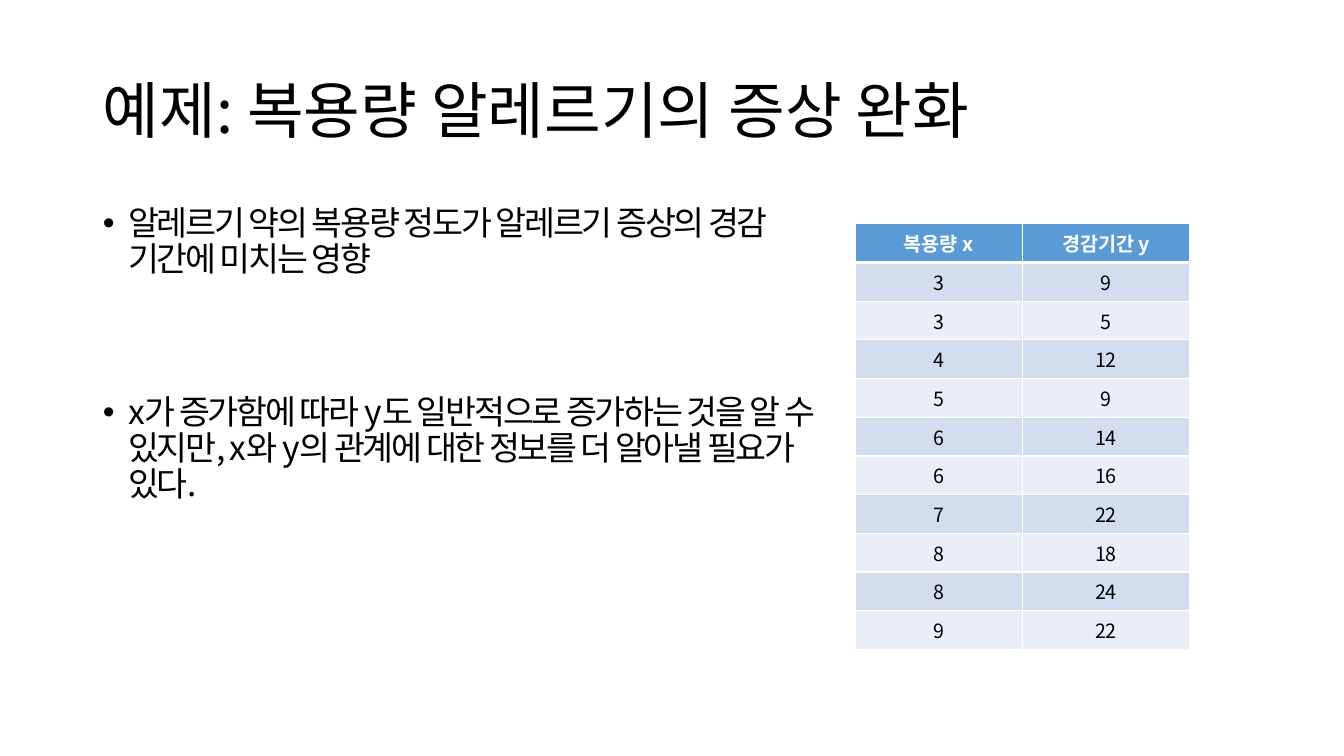
from lxml import etree
from pptx import Presentation
from pptx.dml.color import RGBColor
from pptx.enum.text import MSO_ANCHOR, MSO_AUTO_SIZE, PP_ALIGN
from pptx.oxml.ns import qn
from pptx.util import Inches, Pt

LEFT, CENTER = PP_ALIGN.LEFT, PP_ALIGN.CENTER
MIDDLE = MSO_ANCHOR.MIDDLE
NO_AUTOFIT = MSO_AUTO_SIZE.NONE
FONT = "Noto Sans CJK KR"
BLACK, WHITE = "000000", "FFFFFF"
HEADER_FILL, BAND_FILLS = "5B9BD5", ("D2DEEF", "EAEFF7")

TITLE = "예제: 복용량 알레르기의 증상 완화"
POINTS = [
    ("알레르기 약의 복용량 정도가 알레르기 증상의 경감 기간에 미치는 영향", 10),
    ("x가 증가함에 따라 y도 일반적으로 증가하는 것을 알 수 있지만, "
     "x와 y의 관계에 대한 정보를 더 알아낼 필요가 있다.", 83),
]
DOSES = [
    ("복용량 x", "경감기간 y"),
    (3, 9), (3, 5), (4, 12), (5, 9), (6, 14),
    (6, 16), (7, 22), (8, 18), (8, 24), (9, 22),
]


def color(value):
    return RGBColor.from_string(value)


def style_para(para, size, ink, align, bold=False):
    para.alignment = align
    para.font.name = FONT
    para.font.size = Pt(size)
    para.font.bold = bold
    para.font.color.rgb = color(ink)
    for span in para.runs:
        etree.SubElement(span._r.get_or_add_rPr(), qn("a:ea"), typeface=FONT)


def move(shape, box):
    shape.left, shape.top, shape.width, shape.height = (Inches(side) for side in box)


def fill_title(title, box):
    move(title, box)
    frame = title.text_frame
    frame.text = TITLE
    frame.auto_size = NO_AUTOFIT
    frame.vertical_anchor = MIDDLE
    para = frame.paragraphs[0]
    para.line_spacing = 0.9
    style_para(para, 44, BLACK, LEFT)


def fill_points(body, box):
    move(body, box)
    frame = body.text_frame
    frame.text = "\n".join(text for text, _ in POINTS)
    frame.auto_size = NO_AUTOFIT
    for para, (_, gap) in zip(frame.paragraphs, POINTS):
        para.line_spacing = 0.9
        para.space_before = Pt(gap)
        style_para(para, 24, BLACK, LEFT)
        properties = para._p.get_or_add_pPr()
        properties.set("marL", str(Inches(0.25)))
        properties.set("indent", str(Inches(-0.25)))
        for span in para.runs:
            span._r.get_or_add_rPr().set("spc", "-150")


def underline_cell(cell, width, ink):
    """Draw the cell's bottom border, which must precede its fill in the XML."""
    line = etree.Element(qn("a:lnB"), w=str(Pt(width)))
    fill = etree.SubElement(line, qn("a:solidFill"))
    etree.SubElement(fill, qn("a:srgbClr"), val=ink)
    cell._tc.get_or_add_tcPr().insert(0, line)


def add_dose_table(page, box):
    sides = [Inches(side) for side in box]
    table = page.shapes.add_table(len(DOSES), len(DOSES[0]), *sides).table
    for row, values in enumerate(DOSES):
        header = row == 0
        for column, value in enumerate(values):
            cell = table.cell(row, column)
            cell.text = str(value)
            cell.fill.solid()
            cell.fill.fore_color.rgb = color(HEADER_FILL if header else BAND_FILLS[(row - 1) % 2])
            style_para(cell.text_frame.paragraphs[0], 14, WHITE if header else BLACK, CENTER, header)
            if header:
                underline_cell(cell, 3, WHITE)


def main():
    deck = Presentation()
    deck.slide_width, deck.slide_height = Inches(13.33), Inches(7.5)
    page = deck.slides.add_slide(deck.slide_layouts[1])
    fill_title(page.shapes.title, (0.92, 0.4, 11.5, 1.45))
    fill_points(page.placeholders[1], (0.92, 2, 7.36, 4.76))
    add_dose_table(page, (8.48, 2.22, 3.32, 3.67))
    deck.save("out.pptx")


if __name__ == "__main__":
    main()
